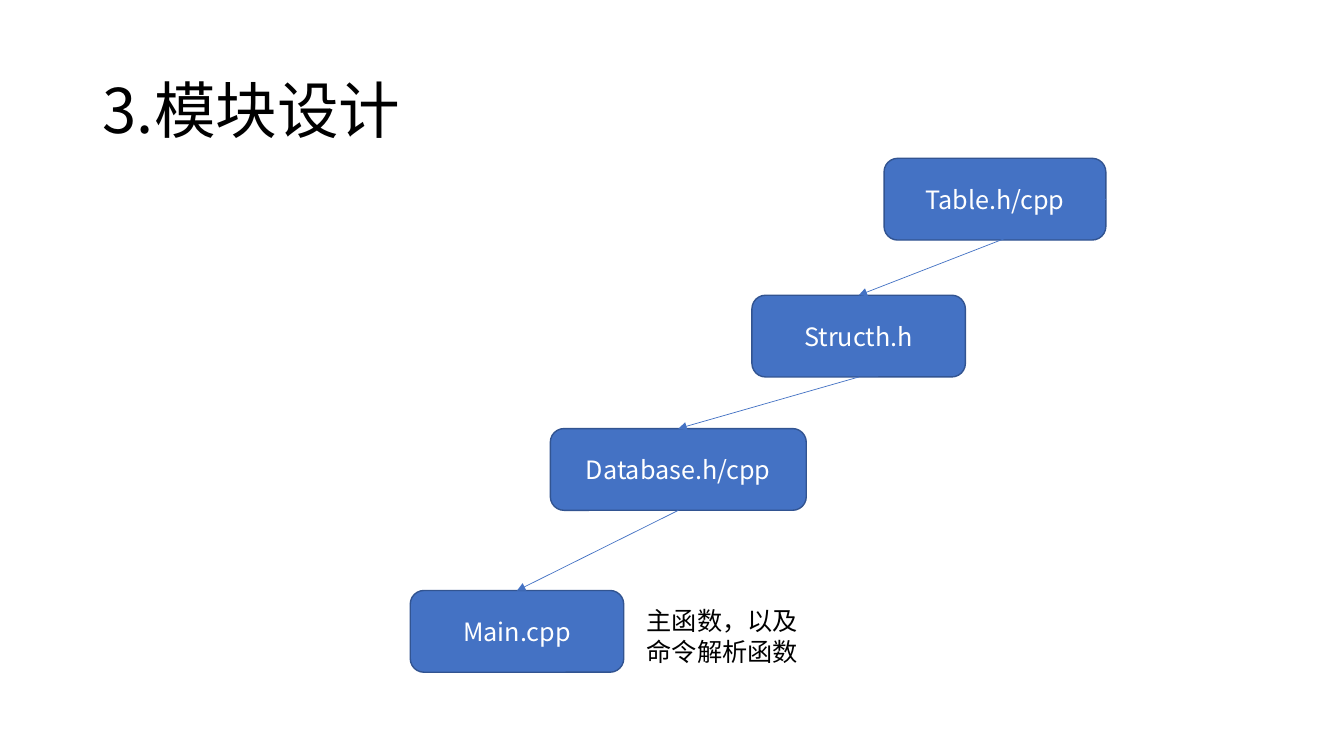
from lxml.etree import SubElement
from pptx import Presentation
from pptx.dml.color import RGBColor
from pptx.enum.shapes import MSO_CONNECTOR, MSO_SHAPE
from pptx.enum.text import MSO_ANCHOR, PP_ALIGN
from pptx.oxml.ns import qn
from pptx.util import Cm, Pt

FONT = "Noto Sans CJK SC"
BLACK = RGBColor(0x00, 0x00, 0x00)
WHITE = RGBColor(0xFF, 0xFF, 0xFF)
BLUE = RGBColor(0x44, 0x72, 0xC4)
DARK_BLUE = RGBColor(0x32, 0x54, 0x91)
MODULE_HEIGHT = 2.06
TOP, BOTTOM, RIGHT = 0, 2, 3

MODULES = {
    "Main.cpp": (10.34, 14.88, 5.38),
    "Structh.h": (18.95, 7.44, 5.38),
    "Database.h/cpp": (13.87, 10.8, 6.45),
    "Table.h/cpp": (22.28, 3.99, 5.59),
}
ARROWS = [
    ("Table.h/cpp", RIGHT, "Structh.h"),
    ("Structh.h", BOTTOM, "Database.h/cpp"),
    ("Database.h/cpp", BOTTOM, "Main.cpp"),
]


def write_text(shape, text, size, color, anchor):
    """Put one formatted paragraph into a shape and return the paragraph."""
    text_frame = shape.text_frame
    text_frame.text = text
    text_frame.word_wrap = True
    text_frame.vertical_anchor = anchor
    paragraph = text_frame.paragraphs[0]
    font = paragraph.runs[0].font
    font.name = FONT
    font.size = Pt(size)
    font.color.rgb = color
    east_asian = SubElement(font._element, qn("a:ea"))
    east_asian.set("typeface", FONT)
    return paragraph


def add_text(slide, text, left, top, width, height, size, anchor):
    """Add a black text box and return its paragraph."""
    shape = slide.shapes.add_textbox(Cm(left), Cm(top), Cm(width), Cm(height))
    return write_text(shape, text, size, BLACK, anchor)


def add_module(slide, name, left, top, width):
    """Add the rounded box of one module."""
    shape = slide.shapes.add_shape(
        MSO_SHAPE.ROUNDED_RECTANGLE, Cm(left), Cm(top), Cm(width), Cm(MODULE_HEIGHT))
    shape.shadow.inherit = False
    shape.fill.solid()
    shape.fill.fore_color.rgb = BLUE
    shape.line.color.rgb = DARK_BLUE
    shape.line.width = Pt(1)
    paragraph = write_text(shape, name, 18, WHITE, MSO_ANCHOR.MIDDLE)
    paragraph.alignment = PP_ALIGN.CENTER
    return shape


def add_arrow(slide, source, side, target):
    """Connect a side of the source module to the top of the target module."""
    connector = slide.shapes.add_connector(MSO_CONNECTOR.STRAIGHT, 0, 0, 0, 0)
    connector.begin_connect(source, side)
    connector.end_connect(target, TOP)
    connector.line.color.rgb = BLUE
    connector.line.width = Pt(0.5)
    tail = SubElement(connector.line._get_or_add_ln(), qn("a:tailEnd"))
    tail.set("type", "triangle")
    SubElement(connector._element.spPr, qn("a:effectLst"))


def main():
    """Build the module design slide."""
    presentation = Presentation()
    presentation.slide_width = Cm(33.87)
    presentation.slide_height = Cm(19.05)
    slide = presentation.slides.add_slide(presentation.slide_layouts[6])
    title = add_text(slide, "3.模块设计", 2.34, 1.02, 29.21, 3.68, 44, MSO_ANCHOR.MIDDLE)
    title.line_spacing = 0.9
    add_text(slide, "主函数，以及命令解析函数", 16.05, 15.14, 4.78, 1.8, 18, MSO_ANCHOR.TOP)
    modules = {name: add_module(slide, name, *place) for name, place in MODULES.items()}
    for source, side, target in ARROWS:
        add_arrow(slide, modules[source], side, modules[target])
    presentation.save("out.pptx")


main()
